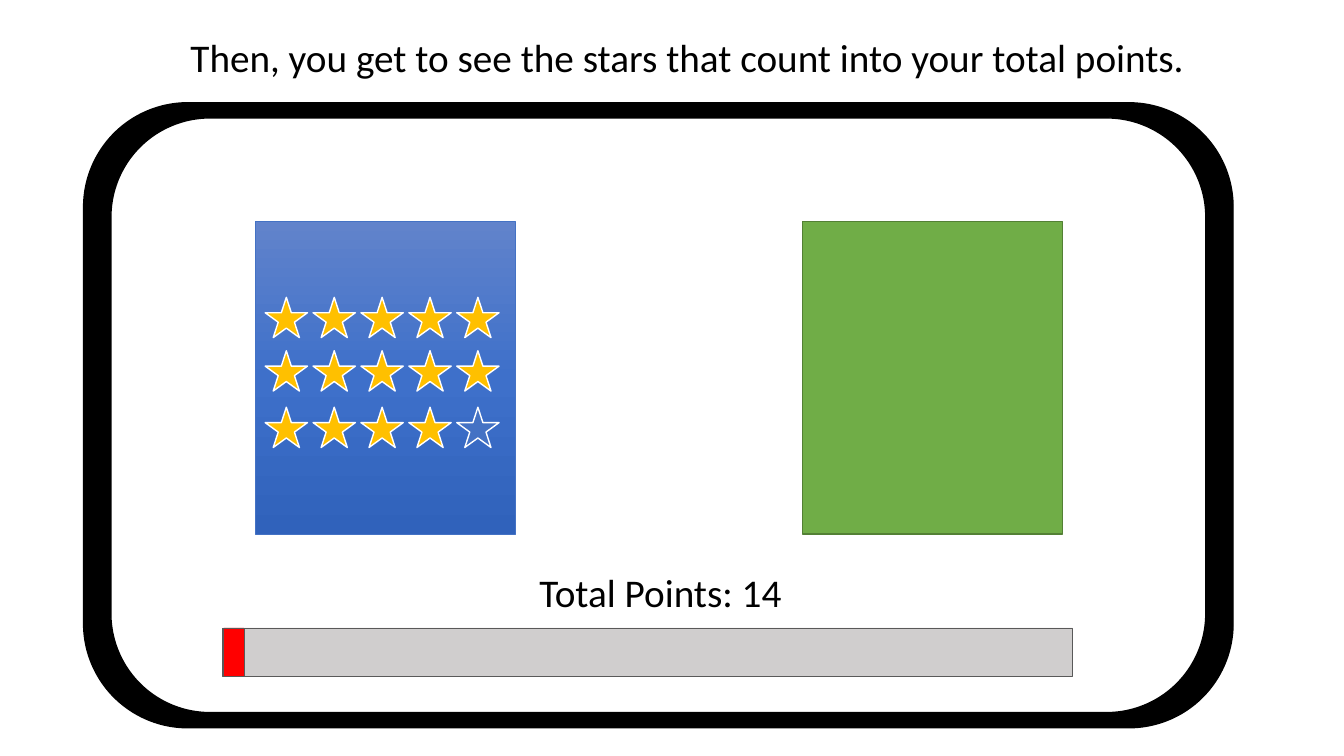
from copy import deepcopy
from dataclasses import dataclass

from pptx import Presentation
from pptx.dml.color import RGBColor
from pptx.enum.shapes import MSO_SHAPE
from pptx.enum.text import MSO_ANCHOR, MSO_AUTO_SIZE, PP_ALIGN
from pptx.util import Inches, Pt


@dataclass(frozen=True)
class Theme:
    """Colours, font and type size of the slide."""
    font: str = "Calibri"
    text_size: int = 28
    black: str = "000000"
    white: str = "FFFFFF"
    blue: str = "4472C4"
    blue_gradient: tuple = ("6183CB", "3E70CA", "3062BB")
    green: str = "70AD47"
    dark_green: str = "538035"
    gold: str = "FFC000"
    red: str = "FF0000"
    track: str = "D0CECE"
    outline: str = "595959"


theme = Theme()
presentation = Presentation()
presentation.slide_width = Inches(13.33)
presentation.slide_height = Inches(7.5)
slide = presentation.slides.add_slide(presentation.slide_layouts[5])


def add_block(kind, box, fill, line, line_width=1):
    """Add a filled, outlined shape; box is left, top, width, height in inches."""
    shape = slide.shapes.add_shape(kind, *map(Inches, box))
    shape.shadow.inherit = False
    shape.fill.solid()
    shape.fill.fore_color.rgb = RGBColor.from_string(fill)
    shape.line.color.rgb = RGBColor.from_string(line)
    shape.line.width = Pt(line_width)
    return shape


def write_line(shape, text, alignment, wrap):
    """Write one line of text that its shape grows to fit."""
    frame = shape.text_frame
    frame.word_wrap = wrap
    frame.auto_size = MSO_AUTO_SIZE.SHAPE_TO_FIT_TEXT
    frame.vertical_anchor = MSO_ANCHOR.TOP
    paragraph = frame.paragraphs[0]
    paragraph.alignment = alignment
    run = paragraph.add_run()
    run.text = text
    run.font.name = theme.font
    run.font.size = Pt(theme.text_size)
    run.font.color.rgb = RGBColor.from_string(theme.black)


# Title
title = slide.shapes.title
title.left, title.top = Inches(1.73), Inches(0.28)
title.width, title.height = Inches(10.17), Inches(0.57)
write_line(title, "Then, you get to see the stars that count into your total points.",
           PP_ALIGN.CENTER, False)

# Tablet frame and screen
add_block(MSO_SHAPE.ROUNDED_RECTANGLE, (0.83, 1.02, 11.4, 6.2), theme.black, theme.black)
add_block(MSO_SHAPE.ROUNDED_RECTANGLE, (1.1, 1.17, 10.86, 5.9), theme.white, theme.black)

# Cards
star_card = add_block(MSO_SHAPE.RECTANGLE, (2.53, 2.2, 2.58, 3.1),
                      theme.blue, theme.blue, 0.5)
star_card.fill.gradient()
star_card.fill.gradient_angle = 270
stop_list = star_card._element.spPr.xpath("./a:gradFill/a:gsLst")[0]
stop_list.insert(1, deepcopy(stop_list[0]))
for index, stop in enumerate(star_card.fill.gradient_stops):
    stop.position = index / 2
    stop.color.rgb = RGBColor.from_string(theme.blue_gradient[index])
add_block(MSO_SHAPE.RECTANGLE, (7.96, 2.2, 2.58, 3.1), theme.green, theme.dark_green)

# Points total and progress bar
add_block(MSO_SHAPE.RECTANGLE, (2.21, 6.23, 8.43, 0.48), theme.track, theme.outline, 0.5)
points = 14
total = slide.shapes.add_textbox(Inches(5.25), Inches(5.59), Inches(2.71), Inches(0.57))
write_line(total, f"Total Points: {points}", PP_ALIGN.LEFT, True)
add_block(MSO_SHAPE.RECTANGLE, (2.22, 6.23, 0.2, 0.48), theme.red, theme.outline, 0.5)

# Stars: one gold star per point
columns = 5
for row, top in enumerate((2.95, 3.48, 4.04)):
    for column in range(columns):
        earned = row * columns + column < points
        add_block(MSO_SHAPE.STAR_5_POINT, (2.63 + column * 1.9 / 4, top, 0.42, 0.4),
                  theme.gold if earned else theme.blue, theme.white)

presentation.save("out.pptx")
